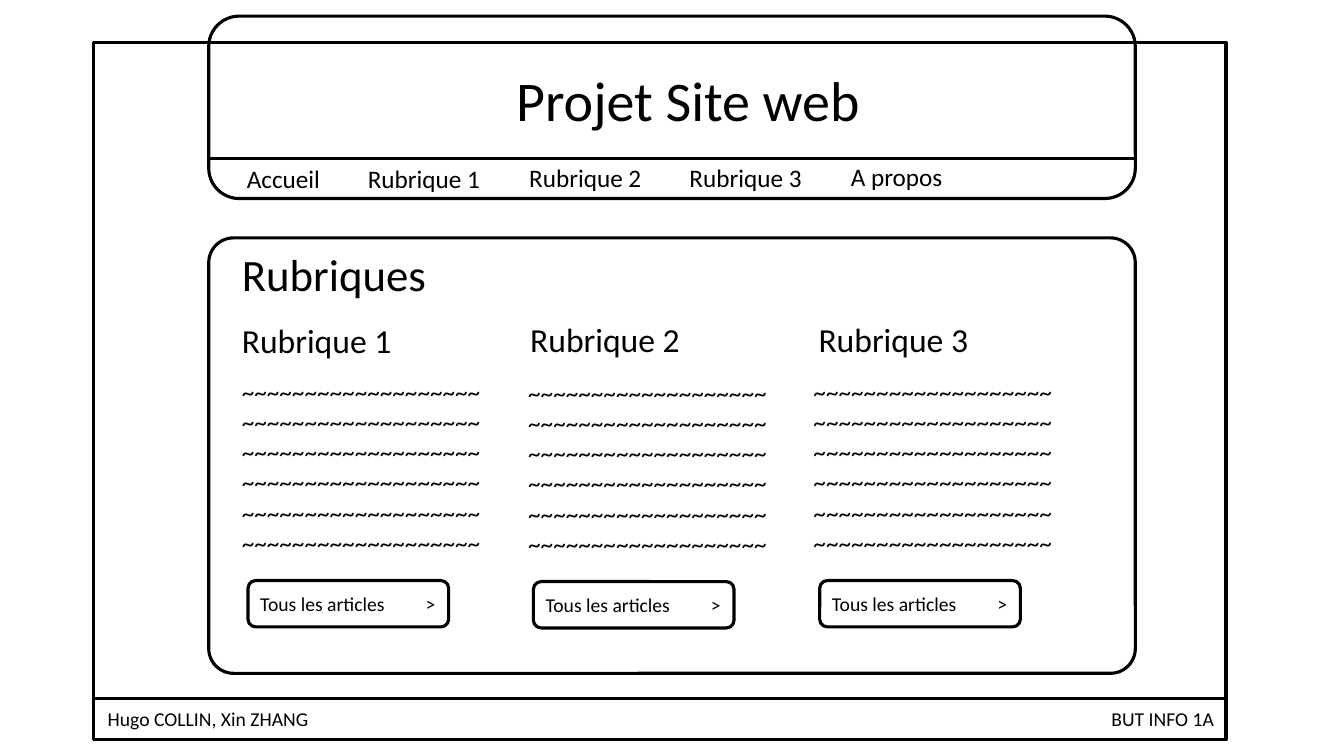
from lxml import etree
from pptx import Presentation
from pptx.dml.color import RGBColor
from pptx.enum import shapes, text
from pptx.oxml import ns
from pptx.util import Inches, Pt

BLACK = RGBColor(0, 0, 0)
FONT = "Calibri"
LINE_WIDTH = Pt(2.25)
PAGE_LEFT, PAGE_WIDTH = 0.93, 11.23
PANEL_LEFT, PANEL_WIDTH = 2.07, 9.19
MENU = [("Accueil", 2.35, 1.57, 0.94), ("Rubrique 1", 3.55, 1.57, 1.33),
        ("Rubrique 2", 5.15, 1.56, 1.33), ("Rubrique 3", 6.74, 1.56, 1.33),
        ("A propos", 8.34, 1.55, 1.12)]
# Heading position, then left edges and shared vertical shift of the body
COLUMNS = [("Rubrique 1", 2.3, 3.12, 2.3, 2.46, 0),
           ("Rubrique 2", 5.16, 3.11, 5.14, 5.29, 0.01),
           ("Rubrique 3", 8.02, 3.11, 7.97, 8.13, 0)]


def format_text(frame, size, alignment=text.PP_ALIGN.LEFT):
    for paragraph in frame.paragraphs:
        paragraph.alignment = alignment
        paragraph.font.name = FONT
        paragraph.font.size = Pt(size)
        paragraph.font.color.rgb = BLACK


def add_text(slide, content, left, top, width, height, size,
             alignment=text.PP_ALIGN.LEFT):
    box = slide.shapes.add_textbox(
        Inches(left), Inches(top), Inches(width), Inches(height))
    frame = box.text_frame
    frame.text = content
    frame.word_wrap = False
    frame.auto_size = text.MSO_AUTO_SIZE.SHAPE_TO_FIT_TEXT
    format_text(frame, size, alignment)


def add_outline(slide, kind, left, top, width, height, rounding=None):
    shape = slide.shapes.add_shape(
        kind, Inches(left), Inches(top), Inches(width), Inches(height))
    shape.shadow.inherit = False
    shape.fill.background()
    shape.line.color.rgb = BLACK
    shape.line.width = LINE_WIDTH
    if rounding is not None:
        shape.adjustments[0] = rounding
    return shape


def add_rule(slide, left, top, width):
    rule = slide.shapes.add_connector(
        shapes.MSO_CONNECTOR.STRAIGHT, Inches(left), Inches(top),
        Inches(left + width), Inches(top))
    rule.line.color.rgb = BLACK
    rule.line.width = LINE_WIDTH
    etree.SubElement(rule._element.spPr, ns.qn("a:effectLst"))


def add_button(slide, left, top):
    button = add_outline(slide, shapes.MSO_SHAPE.ROUNDED_RECTANGLE,
                         left, top, 1.99, 0.46)
    frame = button.text_frame
    frame.text = "Tous les articles\t>"
    frame.vertical_anchor = text.MSO_ANCHOR.MIDDLE
    format_text(frame, 14)
    # A tab stop places the arrow near the right edge
    properties = frame.paragraphs[0]._p.get_or_add_pPr()
    tabs = etree.Element(ns.qn("a:tabLst"))
    etree.SubElement(tabs, ns.qn("a:tab"), pos=str(Inches(1.64)), algn="l")
    properties.insert(0, tabs)


def set_title(slide, content):
    title = slide.shapes.title
    title.left, title.top = Inches(5.02), Inches(0.6)
    title.width, title.height = Inches(3.64), Inches(0.77)
    frame = title.text_frame
    frame.text = content
    frame.word_wrap = False
    frame.auto_size = text.MSO_AUTO_SIZE.NONE
    frame.vertical_anchor = text.MSO_ANCHOR.TOP
    format_text(frame, 40)


def add_column(slide, heading, left, top, body_left, button_left, shift):
    add_text(slide, heading, left, top, 1.7, 0.5, 24)
    filler = "\n".join(["~" * 19] * 6)
    add_text(slide, filler, body_left, 3.68 + shift, 2.6, 1.92, 18)
    add_button(slide, button_left, 5.76 + shift)


def main():
    presentation = Presentation()
    presentation.slide_width = Inches(13.33)
    presentation.slide_height = Inches(7.5)
    slide = presentation.slides.add_slide(presentation.slide_layouts[5])
    rounded = shapes.MSO_SHAPE.ROUNDED_RECTANGLE

    # Page frame and header
    add_outline(slide, shapes.MSO_SHAPE.RECTANGLE,
                PAGE_LEFT, 0.42, PAGE_WIDTH, 6.92)
    add_outline(slide, rounded, PANEL_LEFT, 0.16, PANEL_WIDTH, 1.81)
    add_rule(slide, PANEL_LEFT, 1.57, PANEL_WIDTH)
    set_title(slide, "Projet Site web")
    for label, left, top, width in MENU:
        add_text(slide, label, left, top, width, 0.4, 18)

    # Sections panel
    add_outline(slide, rounded, PANEL_LEFT, 2.36, PANEL_WIDTH, 4.32, 0.057)
    add_text(slide, "Rubriques", 2.3, 2.4, 2.05, 0.64, 32)
    for column in COLUMNS:
        add_column(slide, *column)

    # Footer
    add_rule(slide, PAGE_LEFT, 6.93, PAGE_WIDTH)
    add_text(slide, "Hugo COLLIN, Xin ZHANG", 0.97, 6.96, 2.21, 0.34, 14)
    add_text(slide, "BUT INFO 1A", 10.91, 6.96, 1.23, 0.34, 14,
             text.PP_ALIGN.RIGHT)

    presentation.save("out.pptx")


main()
